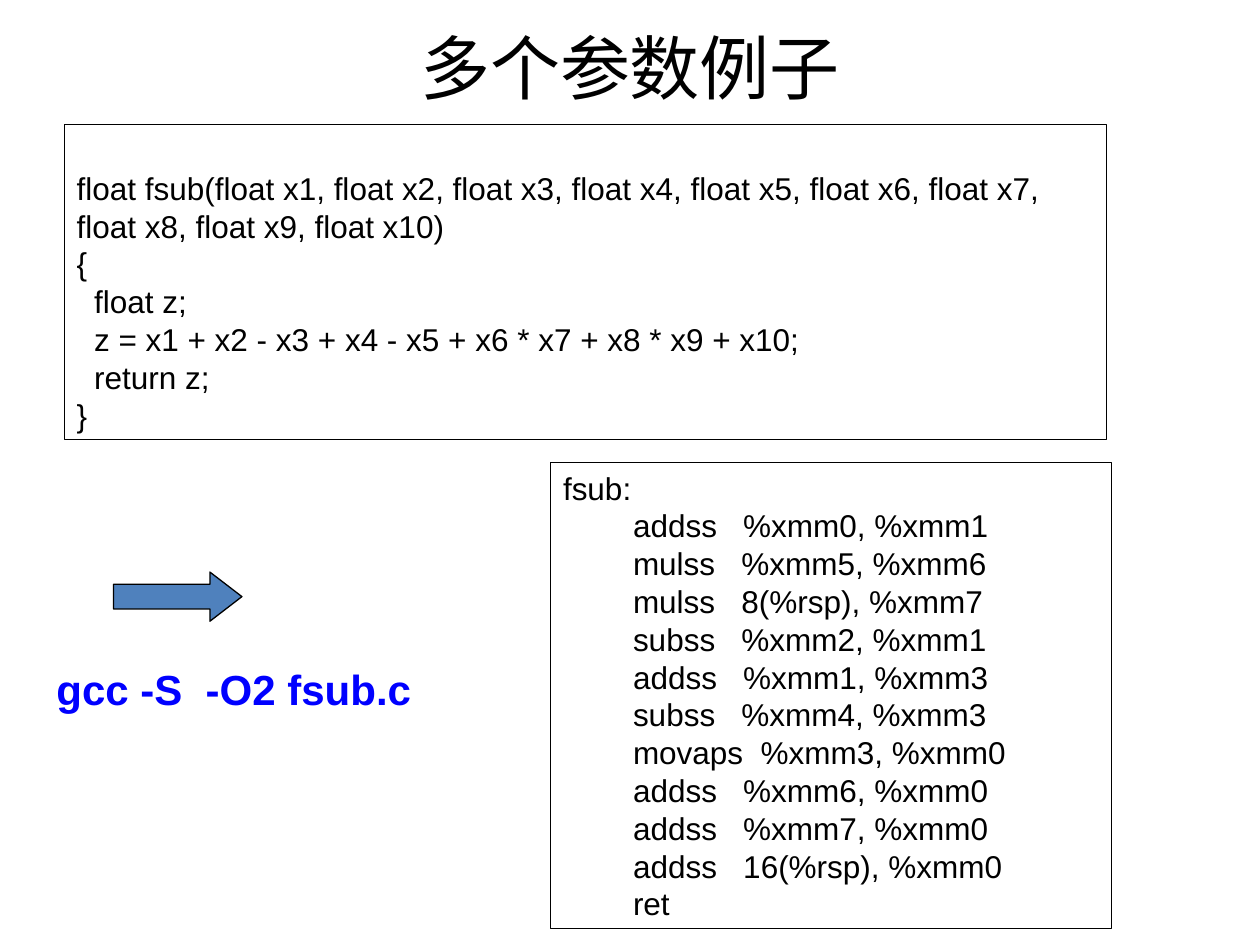
from dataclasses import dataclass

from pptx import Presentation
from pptx.dml.color import RGBColor
from pptx.enum.shapes import MSO_SHAPE
from pptx.enum.text import MSO_ANCHOR, MSO_AUTO_SIZE, PP_ALIGN
from pptx.util import Inches, Pt

RECTANGLE = MSO_SHAPE.RECTANGLE
RIGHT_ARROW = MSO_SHAPE.RIGHT_ARROW
TOP, MIDDLE = MSO_ANCHOR.TOP, MSO_ANCHOR.MIDDLE
LEFT, CENTER = PP_ALIGN.LEFT, PP_ALIGN.CENTER
NO_AUTOFIT = MSO_AUTO_SIZE.NONE

COLORS = {"ink": "000000", "command": "0000FF", "arrow": "4F81BD"}
TITLE_ONLY_LAYOUT = 5
SPACE_WIDTH = 5  # points, for Arial at 18 pt
OPCODE_COLUMN = 8  # characters


@dataclass
class CodeLine:
    text: str
    indent: int = 0  # in characters


@dataclass
class CodeBox:
    left: float
    top: float
    width: float
    height: float
    lines: list[CodeLine]
    top_margin: float = 0.05


INSTRUCTIONS = [
    ("addss", "%xmm0, %xmm1"),
    ("mulss", "%xmm5, %xmm6"),
    ("mulss", "8(%rsp), %xmm7"),
    ("subss", "%xmm2, %xmm1"),
    ("addss", "%xmm1, %xmm3"),
    ("subss", "%xmm4, %xmm3"),
    ("movaps", "%xmm3, %xmm0"),
    ("addss", "%xmm6, %xmm0"),
    ("addss", "%xmm7, %xmm0"),
    ("addss", "16(%rsp), %xmm0"),
    ("ret", ""),
]

C_SOURCE = CodeBox(0.51, 0.99, 8.27, 2.5, [
    CodeLine("float fsub(float x1, float x2, float x3, float x4, float x5, "
             "float x6, float x7, float x8, float x9, float x10)"),
    CodeLine("{"),
    CodeLine("float z;", 2),
    CodeLine("z = x1 + x2 - x3 + x4 - x5 + x6 * x7 + x8 * x9 + x10;", 2),
    CodeLine("return z;", 2),
    CodeLine("}"),
], top_margin=0.35)

ASSEMBLY = CodeBox(4.37, 3.67, 4.45, 3.7, [CodeLine("fsub:")] + [
    CodeLine(f"{opcode:<{OPCODE_COLUMN}}{operands}".rstrip(), 8)
    for opcode, operands in INSTRUCTIONS
])


def color(name: str) -> RGBColor:
    return RGBColor.from_string(COLORS[name])


def format_runs(para, size: float, color_name: str, font: str = "Arial",
                bold: bool = False) -> None:
    for run in para.runs:
        run.font.name = font
        run.font.size = Pt(size)
        run.font.bold = bold
        run.font.color.rgb = color(color_name)


def add_outlined_shape(slide, kind, left: float, top: float,
                       width: float, height: float):
    shape = slide.shapes.add_shape(kind, Inches(left), Inches(top),
                                   Inches(width), Inches(height))
    shape.shadow.inherit = False
    shape.fill.background()
    shape.line.color.rgb = color("ink")
    shape.line.width = Pt(0.75)
    return shape


def add_code_box(slide, code: CodeBox) -> None:
    box = add_outlined_shape(slide, RECTANGLE, code.left, code.top,
                             code.width, code.height)
    frame = box.text_frame
    frame.word_wrap = True
    frame.vertical_anchor = TOP
    frame.margin_top = Inches(code.top_margin)
    frame.text = "\n".join(line.text for line in code.lines)
    for para, line in zip(frame.paragraphs, code.lines):
        para.alignment = LEFT
        para._p.get_or_add_pPr().set("marL", str(Pt(line.indent * SPACE_WIDTH)))
        format_runs(para, 18, "ink")


def add_command(slide) -> None:
    box = slide.shapes.add_textbox(Inches(0.35), Inches(5.22),
                                   Inches(3.23), Inches(0.5))
    box.text_frame.word_wrap = True
    box.text_frame.text = "gcc -S  -O2 fsub.c"
    format_runs(box.text_frame.paragraphs[0], 24, "command", bold=True)


def add_arrow(slide) -> None:
    arrow = add_outlined_shape(slide, RIGHT_ARROW, 0.9, 4.54, 1.02, 0.39)
    arrow.adjustments[0] = 0.5
    arrow.adjustments[1] = 0.65
    arrow.fill.solid()
    arrow.fill.fore_color.rgb = color("arrow")


def set_title(slide) -> None:
    title = slide.shapes.title
    title.left, title.top = Inches(0.5), Inches(0.21)
    title.width, title.height = Inches(9), Inches(0.63)
    frame = title.text_frame
    frame.text = "多个参数例子"
    frame.auto_size = NO_AUTOFIT
    frame.vertical_anchor = MIDDLE
    para = frame.paragraphs[0]
    para.alignment = CENTER
    format_runs(para, 40, "ink", font="Calibri")


def main() -> None:
    deck = Presentation()
    deck.slide_width, deck.slide_height = Inches(10), Inches(7.5)
    slide = deck.slides.add_slide(deck.slide_layouts[TITLE_ONLY_LAYOUT])
    set_title(slide)
    for code in (C_SOURCE, ASSEMBLY):
        add_code_box(slide, code)
    add_command(slide)
    add_arrow(slide)
    deck.save("out.pptx")


if __name__ == "__main__":
    main()
